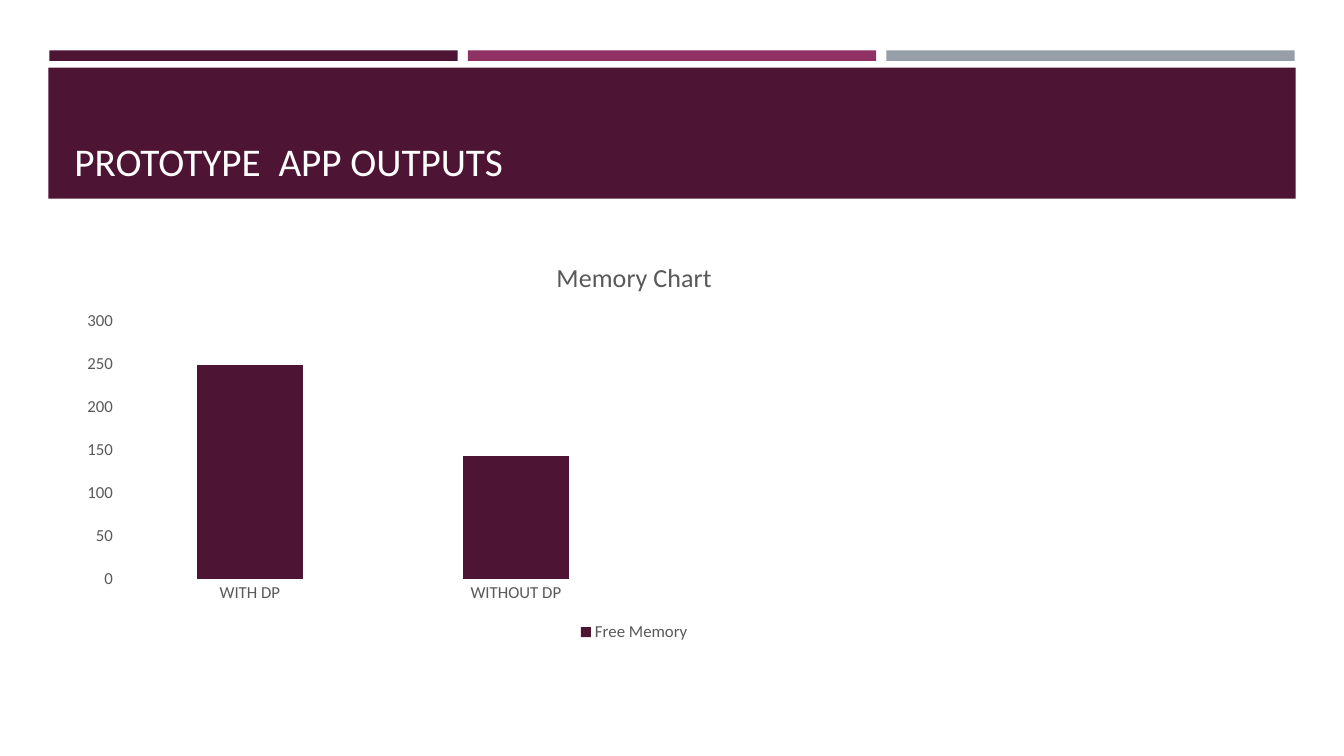
from dataclasses import dataclass

from lxml.etree import SubElement
from pptx import Presentation
from pptx.chart.data import CategoryChartData
from pptx.dml.color import RGBColor
from pptx.enum.chart import XL_CHART_TYPE as ChartType
from pptx.enum.chart import XL_LEGEND_POSITION as LegendPos
from pptx.enum.chart import XL_TICK_MARK as TickMark
from pptx.enum.shapes import MSO_SHAPE as Shape
from pptx.enum.text import MSO_ANCHOR as Anchor
from pptx.enum.text import PP_ALIGN as Align
from pptx.oxml.ns import qn
from pptx.util import Inches, Pt


@dataclass(frozen=True)
class Theme:
    font: str = "Calibri"
    plum: str = "4D1434"
    berry: str = "903163"
    red: str = "B2324B"
    grey: str = "969FA7"
    text: str = "595959"
    white: str = "FFFFFF"
    title_size: float = 28
    chart_title_size: float = 18.6
    label_size: float = 12
    cell: float = 0.1


class SlideBuilder:
    def __init__(self, prs, theme):
        self.theme = theme
        self.s = prs.slides.add_slide(prs.slide_layouts[6])

    def grid(self, *cells):
        return [Inches(n * self.theme.cell) for n in cells]

    def style(self, font, size, color):
        font.name = self.theme.font
        font.size = Pt(size)
        font.bold = False
        font.color.rgb = RGBColor.from_string(color)

    def paint(self, fill, color):
        fill.solid()
        fill.fore_color.rgb = RGBColor.from_string(color)

    def bar(self, col, row, cols, rows, color):
        sp = self.s.shapes.add_shape(Shape.RECTANGLE, *self.grid(col, row, cols, rows))
        sp.shadow.inherit = False
        self.paint(sp.fill, color)
        sp.line.fill.background()

    def title(self, col, row, cols, rows, text):
        tf = self.s.shapes.add_textbox(*self.grid(col, row, cols, rows)).text_frame
        tf.word_wrap = True
        tf.vertical_anchor = Anchor.BOTTOM
        tf.text = text
        p = tf.paragraphs[0]
        p.alignment = Align.LEFT
        self.style(p.runs[0].font, self.theme.title_size, self.theme.white)

    def axis(self, axis):
        axis.has_major_gridlines = False
        axis.major_tick_mark = axis.minor_tick_mark = TickMark.NONE
        axis.format.line.fill.background()
        self.style(axis.tick_labels.font, self.theme.label_size, self.theme.text)

    def legend(self, chart, hidden):
        chart.has_legend = True
        legend = chart.legend
        legend.position = LegendPos.BOTTOM
        legend.include_in_layout = False
        self.style(legend.font, self.theme.label_size, self.theme.text)
        for place, index in enumerate(hidden, 1):
            entry = SubElement(legend._element, qn("c:legendEntry"))
            SubElement(entry, qn("c:idx")).set("val", str(index))
            SubElement(entry, qn("c:delete")).set("val", "1")
            legend._element.insert(place, entry)

    def stacked_chart(self, col, row, cols, rows, title, categories, series, hidden):
        data = CategoryChartData()
        data.categories = categories
        for name, values, _ in series:
            data.add_series(name, values)
        chart = self.s.shapes.add_chart(
            ChartType.COLUMN_STACKED, *self.grid(col, row, cols, rows), data
        ).chart
        self.style(chart.font, self.theme.label_size, self.theme.text)
        chart.has_title = True
        tf = chart.chart_title.text_frame
        tf.text = title
        self.style(tf.paragraphs[0].runs[0].font, self.theme.chart_title_size, self.theme.text)
        chart.chart_title.include_in_layout = False
        plot = chart.plots[0]
        plot.gap_width, plot.overlap = 150, 100
        plot.vary_by_categories = False
        for ser, (_, _, color) in zip(plot.series, series):
            self.paint(ser.format.fill, color)
        for axis in (chart.category_axis, chart.value_axis):
            self.axis(axis)
        self.legend(chart, hidden)


def main():
    theme = Theme()
    prs = Presentation()
    prs.slide_width, prs.slide_height = Inches(13.33), Inches(7.5)
    slide = SlideBuilder(prs, theme)

    stripe, gap = 40.5, 1
    for i, color in enumerate((theme.plum, theme.berry, theme.grey)):
        slide.bar(4.9 + i * (stripe + gap), 5, stripe, 1.05, color)
    slide.bar(4.8, 6.7, 123.7, 13, theme.plum)
    slide.title(6.4, 7.7, 120.6, 11.1, "PROTOTYPE  APP OUTPUTS")

    categories = ["WITH DP", "WITHOUT DP", "", ""]
    empty = [None] * len(categories)
    series = [
        ("Free Memory", [249, 143, None, None], theme.plum),
        ("Series 2", empty, theme.berry),
        ("Series 3", empty, theme.red),
    ]
    slide.stacked_chart(
        6.4, 23.9, 113, 40.2, "Memory Chart", categories, series, hidden=(1, 2)
    )
    prs.save("out.pptx")


if __name__ == "__main__":
    main()
